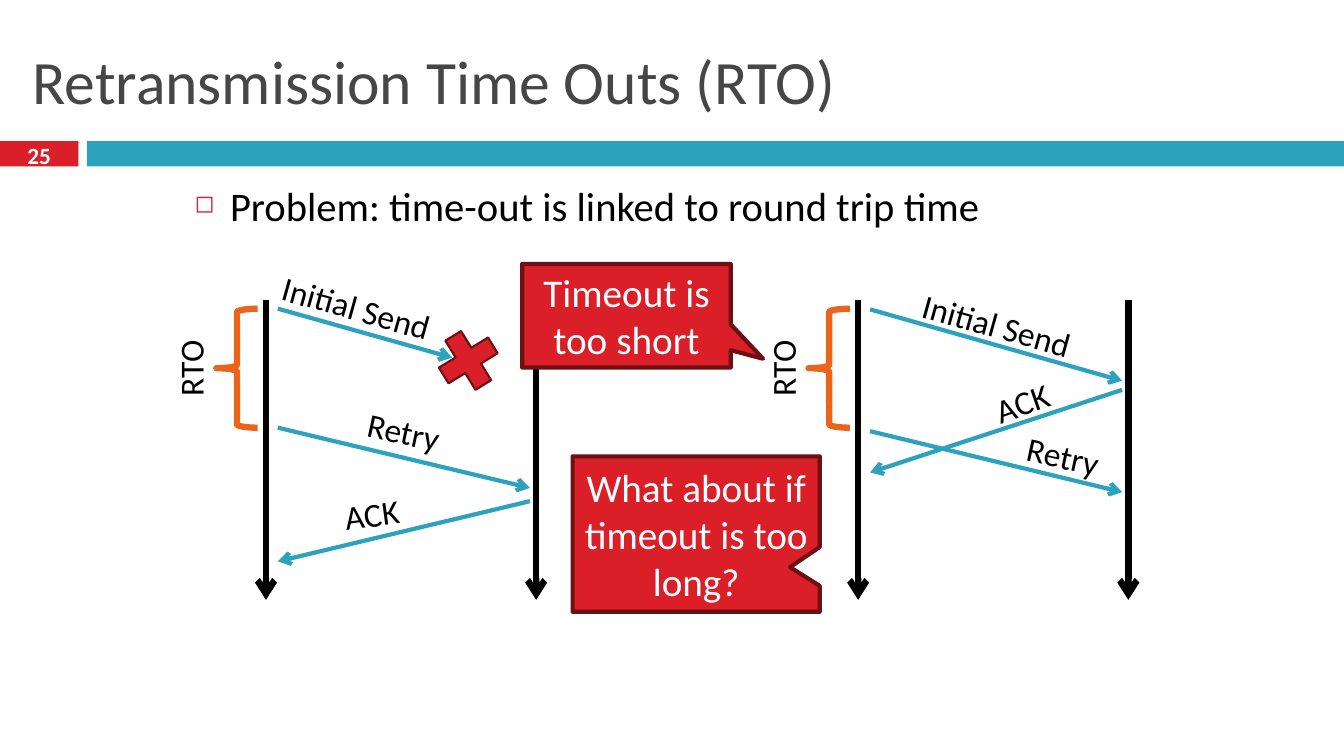
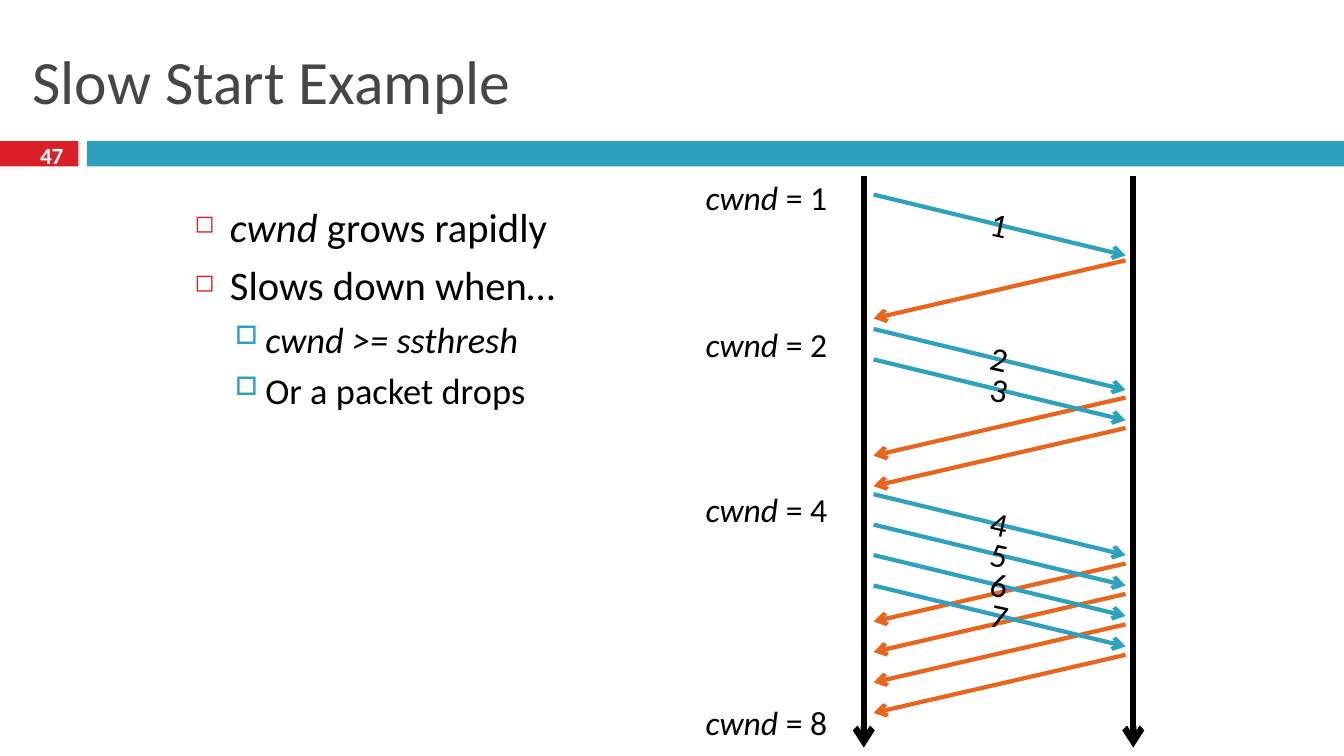
from dataclasses import dataclass

from lxml import etree
from pptx import Presentation
from pptx.dml.color import RGBColor
from pptx.enum.shapes import MSO_CONNECTOR, MSO_SHAPE
from pptx.enum.text import MSO_ANCHOR, MSO_AUTO_SIZE, PP_ALIGN
from pptx.oxml.ns import qn
from pptx.util import Pt

LEFT, CENTER = PP_ALIGN.LEFT, PP_ALIGN.CENTER
TOP, MIDDLE = MSO_ANCHOR.TOP, MSO_ANCHOR.MIDDLE
NO_FIT = MSO_AUTO_SIZE.NONE
STRAIGHT = MSO_CONNECTOR.STRAIGHT
RECT, BRACE = MSO_SHAPE.RECTANGLE, MSO_SHAPE.LEFT_BRACE
CROSS, CALLOUT = MSO_SHAPE.MATH_MULTIPLY, MSO_SHAPE.RECTANGULAR_CALLOUT


@dataclass(frozen=True)
class Theme:
    red: str = "DA1F28"
    dark_red: str = "6D1014"
    teal: str = "2DA2BF"
    orange: str = "EB641B"
    black: str = "000000"
    white: str = "FFFFFF"
    gray: str = "464646"
    font: str = "Calibri"
    title: float = 44
    number: float = 16.6
    body: float = 29
    sub: float = 26
    callout: float = 28
    label: float = 24
    lifeline: float = 4.5
    message: float = 3


T = Theme()
BULLETS = [
    {"size": T.body, "char": "◻", "color": T.red, "pct": 60, "margin": 25.2, "hang": 25.2, "before": 7},
    {"size": T.sub, "char": "□", "color": T.teal, "pct": 70, "margin": 50.4, "hang": 21.6, "before": 5.5},
]


def write(sp, paras, size, color=T.black, align=CENTER, anchor=TOP, bold=False, rotation=0):
    sp.rotation = rotation
    tf = sp.text_frame
    for name, value in {"word_wrap": True, "auto_size": NO_FIT, "vertical_anchor": anchor}.items():
        setattr(tf, name, value)
    for i, (level, runs) in enumerate(paras):
        p = tf.paragraphs[0] if i == 0 else tf.add_paragraph()
        p.alignment = align
        run_size = size
        if level is not None:
            b = BULLETS[level]
            run_size = b["size"]
            pPr = p._p.get_or_add_pPr()
            pPr.set("marL", str(Pt(b["margin"])))
            pPr.set("indent", str(-Pt(b["hang"])))
            clr = etree.SubElement(pPr, qn("a:buClr"))
            etree.SubElement(clr, qn("a:srgbClr"), val=b["color"])
            etree.SubElement(pPr, qn("a:buSzPct"), val=str(b["pct"] * 1000))
            etree.SubElement(pPr, qn("a:buChar"), char=b["char"])
            p.level = level
            if i:
                p.space_before = Pt(b["before"])
        for text, italic in runs:
            r = p.add_run()
            r.text = text
            fmt = {"name": T.font, "size": Pt(run_size), "bold": bold, "italic": italic}
            for name, value in fmt.items():
                setattr(r.font, name, value)
            r.font.color.rgb = RGBColor.from_string(color)


def arrow(s, x1, y1, x2, y2, color, width):
    cx = s.shapes.add_connector(STRAIGHT, Pt(x1), Pt(y1), Pt(x2), Pt(y2))
    cx.line.color.rgb = RGBColor.from_string(color)
    cx.line.width = Pt(width)
    etree.SubElement(cx.line._get_or_add_ln(), qn("a:tailEnd"), type="arrow")
    etree.SubElement(cx._element.spPr, qn("a:effectLst"))


prs = Presentation()
prs.slide_width, prs.slide_height = Pt(960), Pt(540)
layout = prs.slide_layouts[5]
for ph in list(layout.placeholders)[1:]:
    ph.element.getparent().remove(ph.element)

slides = []
for title, number, number_x, number_w in [
    ("Retransmission Time Outs (RTO)", "25", 0, 56),
    ("Slow Start Example", "47", 16, 42),
]:
    s = prs.slides.add_slide(layout)
    if not slides:
        for x, w, color in [(0, 56, T.red), (62, 898, T.teal)]:
            sp = s.shapes.add_shape(RECT, Pt(x), Pt(100.8), Pt(w), Pt(18))
            sp.shadow.inherit = False
            sp.fill.solid()
            sp.fill.fore_color.rgb = RGBColor.from_string(color)
            sp.line.fill.background()
            layout.shapes.element.append(sp.element)
    sp = s.shapes.title
    for name, value in {"left": 16, "top": 18, "width": 928, "height": 78}.items():
        setattr(sp, name, Pt(value))
    write(sp, [(None, [(title, False)])], T.title, T.gray, LEFT, MIDDLE)
    sp = s.shapes.add_textbox(Pt(number_x), Pt(99), Pt(number_w), Pt(24))
    write(sp, [(None, [(number, False)])], T.number, T.white, anchor=MIDDLE, bold=True)
    slides.append(s)

s = slides[0]
sp = s.shapes.add_textbox(Pt(132), Pt(126), Pt(696), Pt(131))
write(sp, [(0, [("Problem: time-out is linked to round trip time", False)])], T.body, align=LEFT)

NEAR, FAR, LABEL_W, LABEL_H = 8.5, 188.5, 158, 36
panels = [
    (190, [
        ("Initial Send", NEAR, 220.5, 133, 255.5, 64.5, 219.5, 15.6),
        ("ACK", FAR, 358, NEAR, 401, 75.5, 367, -7.8),
        ("Retry", NEAR, 305.5, FAR, 348.5, 98.5, 308, 12.3),
    ]),
    (613, [
        ("Initial Send", NEAR, 221, FAR, 272, 99, 232, 15.6),
        ("ACK", FAR, 278.5, NEAR, 337.5, 117, 287.5, -19),
        ("Retry", NEAR, 308, FAR, 351.5, 146.5, 325.5, 12.3),
    ]),
]
for x, messages in panels:
    for dx in (0, 193):
        arrow(s, x + dx, 214.5, x + dx, 428.5, T.black, T.lifeline)
    sp = s.shapes.add_shape(BRACE, Pt(x - 35.5), Pt(220.5), Pt(29.5), Pt(85))
    sp.shadow.inherit = False
    sp.fill.background()
    sp.line.color.rgb = RGBColor.from_string(T.orange)
    sp.line.width = Pt(T.lifeline)
    for _, x1, y1, x2, y2, *_ in messages:
        arrow(s, x + x1, y1, x + x2, y2, T.teal, T.message)
    labels = [(m[0], *m[5:]) for m in messages] + [("RTO", -54, 263, 270)]
    for text, dx, y, rotation in labels:
        sp = s.shapes.add_textbox(Pt(x + dx - LABEL_W / 2), Pt(y - LABEL_H / 2), Pt(LABEL_W), Pt(LABEL_H))
        write(sp, [(None, [(text, False)])], T.label, rotation=rotation)

for kind, box, width, rotation, adj, text in [
    (CROSS, (306.5, 229.5, 56, 56), 1.5, 13.5, None, None),
    (CALLOUT, (373, 188.5, 149, 74), 3, 0, (0.655, 0.415), "Timeout is too short"),
    (CALLOUT, (409, 326, 176.5, 111), 3, 0, (0.38, 0.213), "What about if timeout is too long?"),
]:
    sp = s.shapes.add_shape(kind, *map(Pt, box))
    sp.shadow.inherit = False
    sp.rotation = rotation
    sp.fill.solid()
    sp.fill.fore_color.rgb = RGBColor.from_string(T.red)
    sp.line.color.rgb = RGBColor.from_string(T.dark_red)
    sp.line.width = Pt(width)
    if text:
        sp.adjustments[0], sp.adjustments[1] = adj
        write(sp, [(None, [(text, False)])], T.callout, T.white, anchor=MIDDLE)

s = slides[1]
SENDER, RECEIVER, STEP = 624, 804, 21.75
rounds = [(1, 139, 47), (2, 235, 49), (4, 353, 49.5)]
sends = [(top + i * STEP, delay) for count, top, delay in rounds for i in range(count)]
for y, delay in sends:
    arrow(s, RECEIVER, y + delay, SENDER, y + delay + 41.5, T.orange, T.message)
for x in (617, 809.5):
    arrow(s, x, 126, x, 534, T.black, T.lifeline)
for packet, (y, _) in enumerate(sends, 1):
    arrow(s, SENDER, y, RECEIVER, y + 43.5, T.teal, T.message)
    sp = s.shapes.add_textbox(Pt(674), Pt(y + 3), Pt(80), Pt(LABEL_H))
    write(sp, [(None, [(str(packet), False)])], T.label, rotation=12.3)
for cwnd, y in [(1, 122.5), (2, 227.5), (4, 345.5), (8, 498)]:
    sp = s.shapes.add_textbox(Pt(497), Pt(y), Pt(110), Pt(LABEL_H))
    write(sp, [(None, [("cwnd", True), (f" = {cwnd}", False)])], T.label, align=LEFT)
sp = s.shapes.add_textbox(Pt(132), Pt(140.5), Pt(332), Pt(387))
write(sp, [
    (0, [("cwnd", True), (" grows rapidly", False)]),
    (0, [("Slows down when…", False)]),
    (1, [("cwnd >= ssthresh", True)]),
    (1, [("Or a packet drops", False)]),
], T.body, align=LEFT)

prs.save("out.pptx")
